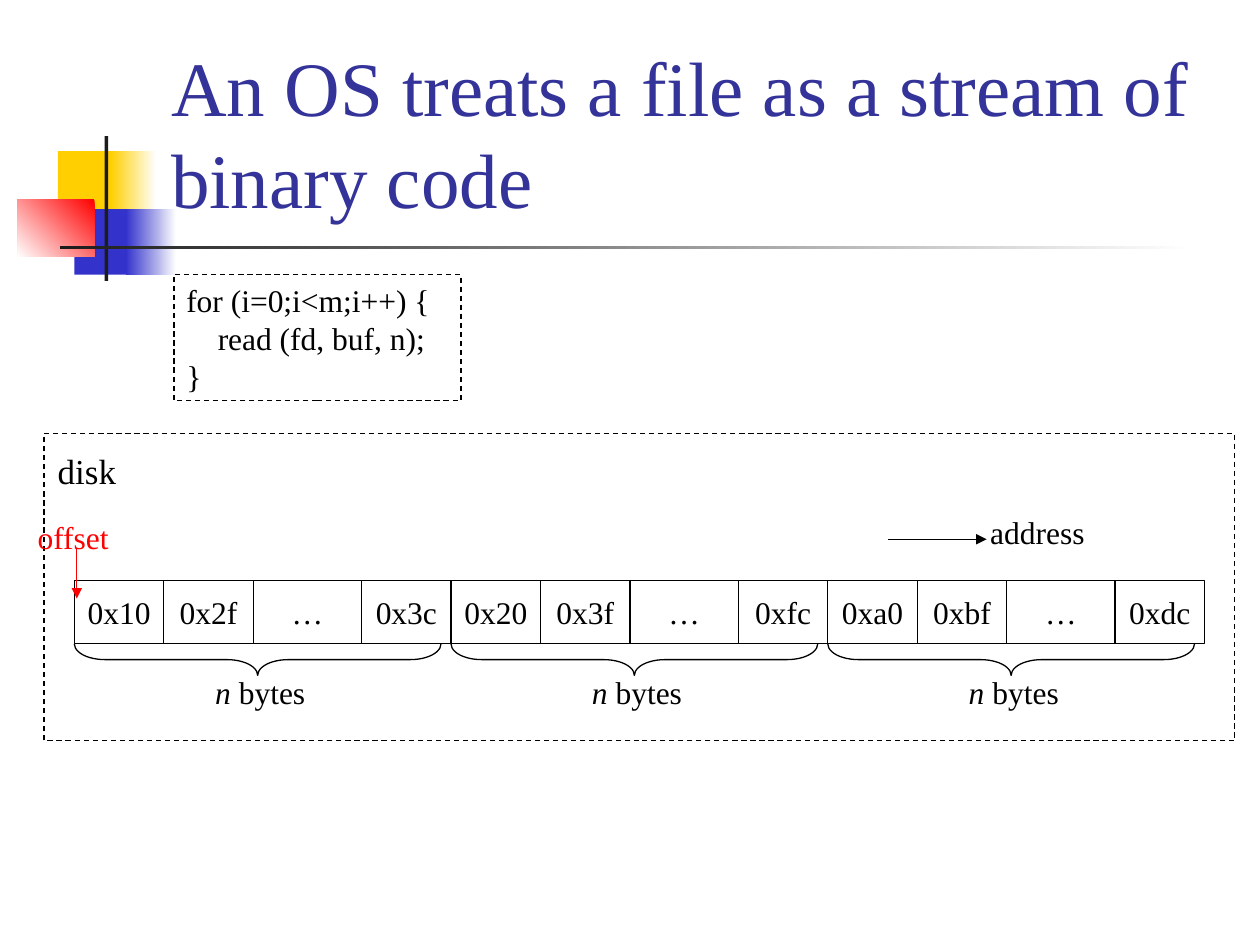
from lxml.etree import SubElement
from pptx import Presentation
from pptx.dml.color import RGBColor
from pptx.enum.dml import MSO_LINE
from pptx.enum.shapes import MSO_CONNECTOR, MSO_SHAPE
from pptx.enum.text import MSO_ANCHOR, PP_ALIGN
from pptx.oxml.ns import qn
from pptx.util import Inches, Pt

FONT = "Times New Roman"
BLACK, WHITE, RED = "000000", "FFFFFF", "FF0000"
YELLOW, BLUE, CHARCOAL, TITLE_BLUE = "FFCF01", "3333CC", "1C1C1C", "333399"
BLOCKS = [
    ["0x10", "0x2f", "…", "0x3c"],
    ["0x20", "0x3f", "…", "0xfc"],
    ["0xa0", "0xbf", "…", "0xdc"],
]
CELL_WIDTHS = [0.71, 0.71, 0.86, 0.71]
CELL_HEIGHT = 0.5


def color(hex_value):
    return RGBColor.from_string(hex_value)


def add_shape(page, box, preset=MSO_SHAPE.RECTANGLE, fill=None, line=None, dash=None):
    """Add a shape; fill is one colour or a (start, end, angle) gradient."""
    shape = page.shapes.add_shape(preset, *map(Inches, box))
    shape.shadow.inherit = False
    if fill is None:
        shape.fill.background()
    elif isinstance(fill, tuple):
        start, end, angle = fill
        shape.fill.gradient()
        shape.fill.gradient_angle = angle
        for stop, hex_value in zip(shape.fill.gradient_stops, (start, end)):
            stop.color.rgb = color(hex_value)
    else:
        shape.fill.solid()
        shape.fill.fore_color.rgb = color(fill)
    if line:
        shape.line.color.rgb = color(line)
        shape.line.width = Pt(0.75)
        shape.line.dash_style = dash
    else:
        shape.line.fill.background()
    return shape


def write(shape, lines, size=18, hex_value=BLACK, align=PP_ALIGN.LEFT,
          anchor=MSO_ANCHOR.TOP, wrap=True):
    """Fill a shape with text, one paragraph per line."""
    frame = shape.text_frame
    frame.text = "\n".join(lines)
    frame.word_wrap = wrap
    frame.vertical_anchor = anchor
    for para in frame.paragraphs:
        para.alignment = align
        para.font.name = FONT
        para.font.size = Pt(size)
        para.font.color.rgb = color(hex_value)
    return frame


def add_text(page, box, text, **style):
    return write(page.shapes.add_textbox(*map(Inches, box)), [text], **style)


def add_arrow(page, start, end, hex_value):
    arrow = page.shapes.add_connector(
        MSO_CONNECTOR.STRAIGHT, *map(Inches, start + end))
    arrow.line.color.rgb = color(hex_value)
    arrow.line.width = Pt(0.75)
    SubElement(arrow.line._get_or_add_ln(), qn("a:tailEnd"), type="triangle")
    SubElement(arrow._element.spPr, qn("a:effectLst"))


def add_decoration(page, box):
    """Coloured squares and the two rules beside the title."""
    left, top, width, _ = box
    parts = [
        (0.32, 0.12, 0.48, 0.52, YELLOW),
        (0.74, 0.12, 0.36, 0.52, (WHITE, YELLOW, 180)),
        (0.45, 0.58, 0.46, 0.52, BLUE),
        (0.86, 0.58, 0.4, 0.52, (WHITE, BLUE, 180)),
        (0, 0.5, 0.61, 0.46, (RED, WHITE, 225)),
        (0.69, 0, 0.03, 1.15, CHARCOAL),
        (0.34, 0.87, width - 0.34, 0.03, (WHITE, CHARCOAL, 180)),
    ]
    for x, y, part_width, part_height, fill in parts:
        add_shape(page, (left + x, top + y, part_width, part_height), fill=fill)


def add_code(page, box):
    """Dashed box with the reading loop."""
    shape = add_shape(page, box, line=BLACK, dash=MSO_LINE.DASH)
    code = ["for (i=0;i<m;i++) {", "read (fd, buf, n);", "}"]
    frame = write(shape, code, anchor=MSO_ANCHOR.MIDDLE)
    body = frame.paragraphs[1]._p.get_or_add_pPr()
    body.set("marL", str(Inches(0.25)))


def add_block(page, box, values):
    """One run of byte cells with its brace and caption."""
    left, top, _, height = box
    x = left
    for value, cell_width in zip(values, CELL_WIDTHS):
        cell = add_shape(page, (x, top, cell_width, height), line=BLACK)
        write(cell, [value], align=PP_ALIGN.CENTER, anchor=MSO_ANCHOR.MIDDLE,
              wrap=False)
        x += cell_width

    # The brace is drawn upright around its centre, then turned to point down
    depth, span_width = 0.25, 2.91
    brace_box = (left + (span_width - depth) / 2,
                 top + height + (depth - span_width) / 2, depth, span_width)
    brace = add_shape(page, brace_box, MSO_SHAPE.LEFT_BRACE, line=BLACK)
    brace.adjustments[0] = 0.97
    brace.rotation = 270

    frame = add_text(page, (left + 1.02, top + 0.68, 1, 0.4), "n")
    para = frame.paragraphs[0]
    para.runs[0].font.italic = True
    para.add_run().text = " bytes"


def add_disk(page, box):
    """Dashed disk area with byte blocks, address arrow and offset pointer."""
    left, top, _, _ = box
    block_width = sum(CELL_WIDTHS)
    for index, values in enumerate(BLOCKS):
        block_left = left + 0.24 + index * block_width
        add_block(page, (block_left, top + 1.17, block_width, CELL_HEIGHT), values)

    add_arrow(page, (left + 6.7, top + 0.84), (left + 7.48, top + 0.84), BLACK)
    add_text(page, (left + 7.41, top + 0.58, 1.05, 0.4), "address")
    add_shape(page, box, line=BLACK, dash=MSO_LINE.DASH)
    add_text(page, (left + 0.01, top + 0.08, 0.76, 0.44), "disk", size=20)
    add_text(page, (left - 0.15, top + 0.62, 0.87, 0.4), "offset", hex_value=RED)
    add_arrow(page, (left + 0.26, top + 0.91), (left + 0.26, top + 1.31), RED)


def main():
    deck = Presentation()
    deck.slide_width, deck.slide_height = Inches(10), Inches(7.5)
    page = deck.slides.add_slide(deck.slide_layouts[6])
    add_decoration(page, (0.14, 1.08, 9.34, 1.15))
    add_text(page, (1.26, 0.23, 8.52, 1.6),
             "An OS treats a file as a stream of binary code", size=44,
             hex_value=TITLE_BLUE, anchor=MSO_ANCHOR.BOTTOM)
    add_code(page, (1.38, 2.18, 2.28, 1))
    add_disk(page, (0.35, 3.44, 9.45, 2.44))
    deck.save("out.pptx")


if __name__ == "__main__":
    main()
